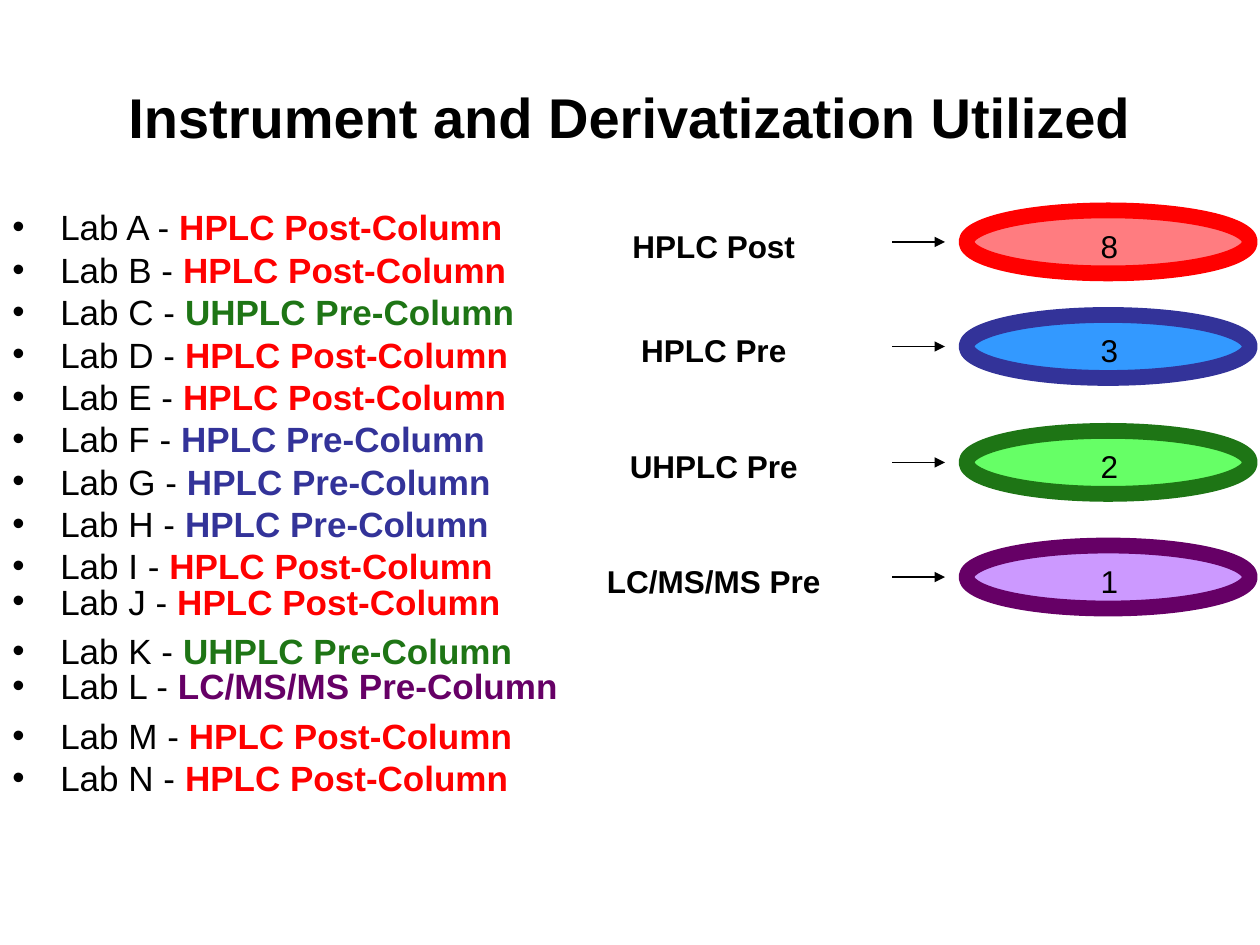
from lxml import etree
from pptx import Presentation
from pptx.dml.color import RGBColor
from pptx.enum.shapes import MSO_CONNECTOR, MSO_SHAPE
from pptx.enum.text import MSO_ANCHOR, PP_ALIGN
from pptx.oxml.ns import qn
from pptx.util import Inches, Pt

LINE = MSO_CONNECTOR.STRAIGHT
OVAL = MSO_SHAPE.OVAL
MIDDLE, TOP = MSO_ANCHOR.MIDDLE, MSO_ANCHOR.TOP
CENTER, LEFT = PP_ALIGN.CENTER, PP_ALIGN.LEFT

COLORS = {
    "black": "000000",
    "HPLC Post": "FF0000",
    "HPLC Pre": "333399",
    "UHPLC Pre": "1E7515",
    "LC/MS/MS Pre": "660066",
}
FILLS = {
    "HPLC Post": "FF7C80",
    "HPLC Pre": "3399FF",
    "UHPLC Pre": "66FF66",
    "LC/MS/MS Pre": "CC99FF",
}


def rgb(code):
    return RGBColor.from_string(code)


def write(text, para, size=18, bold=False, color="black", align=CENTER):
    para.alignment = align
    run = para.add_run()
    run.text = text
    run.font.name = "Arial"
    run.font.size = Pt(size)
    run.font.bold = bold
    run.font.color.rgb = rgb(COLORS[color])


prs = Presentation()
prs.slide_width, prs.slide_height = Inches(10), Inches(7.5)
slide = prs.slides.add_slide(prs.slide_layouts[6])
shapes = slide.shapes

title = shapes.add_textbox(Inches(0.5), Inches(0.3), Inches(9), Inches(1.25))
frame = title.text_frame
frame.word_wrap = True
frame.vertical_anchor = MIDDLE
write("Instrument and Derivatization Utilized", frame.paragraphs[0], size=32, bold=True)

labs = [
    ("A", "HPLC Post"), ("B", "HPLC Post"), ("C", "UHPLC Pre"),
    ("D", "HPLC Post"), ("E", "HPLC Post"), ("F", "HPLC Pre"),
    ("G", "HPLC Pre"), ("H", "HPLC Pre"), ("I", "HPLC Post"),
    ("J", "HPLC Post"), ("K", "UHPLC Pre"), ("L", "LC/MS/MS Pre"),
    ("M", "HPLC Post"), ("N", "HPLC Post"),
]
gaps = {"A": 0, "J": 1, "K": 9, "L": 1, "M": 9}

box = shapes.add_textbox(Inches(0), Inches(1.65), Inches(4.92), Inches(5.3))
frame = box.text_frame
frame.word_wrap = True
frame.vertical_anchor = TOP
for i, (lab, kind) in enumerate(labs):
    para = frame.paragraphs[0] if i == 0 else frame.add_paragraph()
    para.line_spacing = 0.8
    para.space_before = Pt(gaps.get(lab, 5))
    props = para._p.get_or_add_pPr()
    props.set("marL", str(Inches(0.38)))
    props.set("indent", str(-Inches(0.38)))
    tint = etree.SubElement(props, qn("a:buClr"))
    etree.SubElement(tint, qn("a:srgbClr"), val=COLORS["black"])
    etree.SubElement(props, qn("a:buFont"), typeface="Arial")
    etree.SubElement(props, qn("a:buChar"), char="•")
    write(f"Lab {lab} - ", para, size=20, align=LEFT)
    write(f"{kind}-Column", para, size=20, bold=True, color=kind, align=LEFT)

counts = [
    ("HPLC Post", "8", 1.67), ("HPLC Pre", "3", 2.5),
    ("UHPLC Pre", "2", 3.42), ("LC/MS/MS Pre", "1", 4.33),
]
for kind, count, top in counts:
    oval = shapes.add_shape(OVAL, Inches(7.67), Inches(top), Inches(2.25), Inches(0.5))
    oval.shadow.inherit = False
    oval.fill.solid()
    oval.fill.fore_color.rgb = rgb(FILLS[kind])
    oval.line.color.rgb = rgb(COLORS[kind])
    oval.line.width = Pt(9)

    mid = Inches(top + 0.25)
    arrow = shapes.add_connector(LINE, Inches(7.08), mid, Inches(7.5), mid)
    arrow.line.color.rgb = rgb(COLORS["black"])
    arrow.line.width = Pt(0.75)
    etree.SubElement(arrow.line._get_or_add_ln(), qn("a:tailEnd"), type="triangle")
    etree.SubElement(arrow._element.spPr, qn("a:effectLst"))

    for text, left, width, bold in [(kind, 4.58, 2.17, True), (count, 8.34, 0.93, False)]:
        label = shapes.add_textbox(Inches(left), Inches(top + 0.08), Inches(width), Inches(0.4))
        label.text_frame.word_wrap = True
        write(text, label.text_frame.paragraphs[0], bold=bold)

prs.save("out.pptx")
